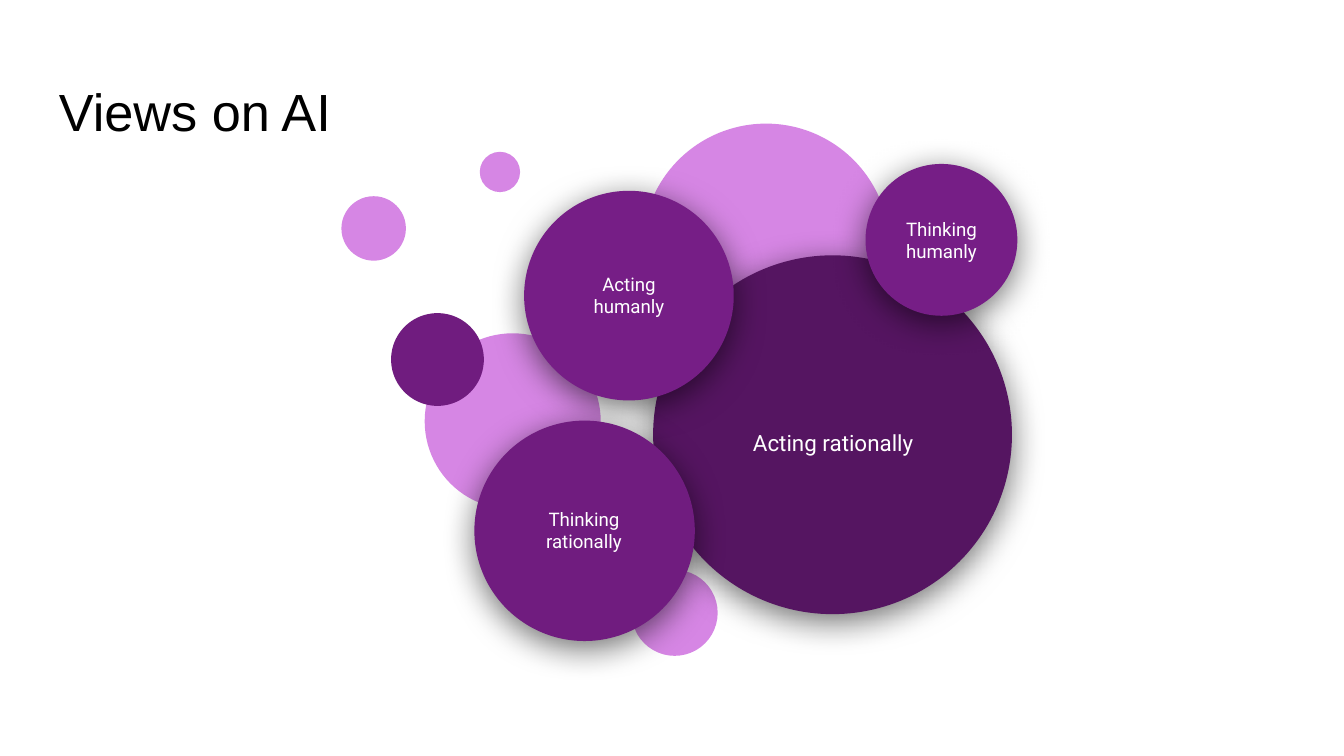
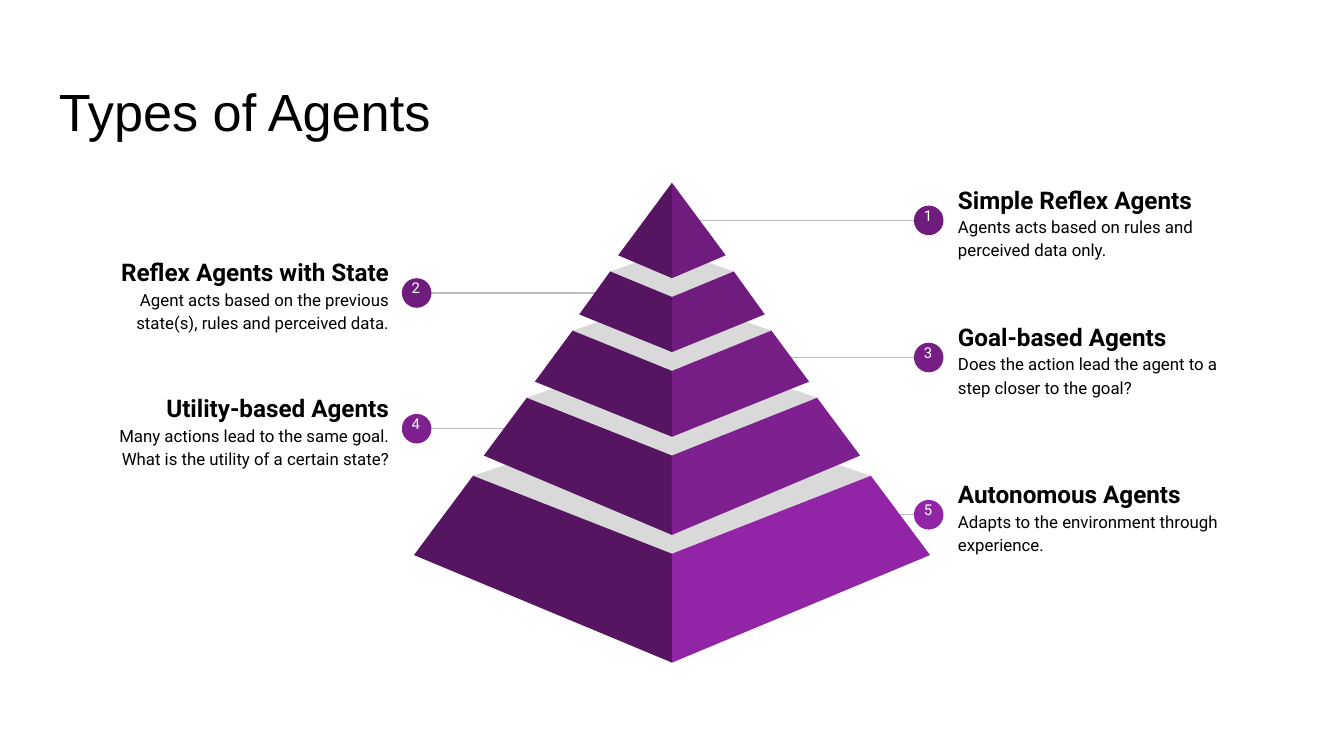
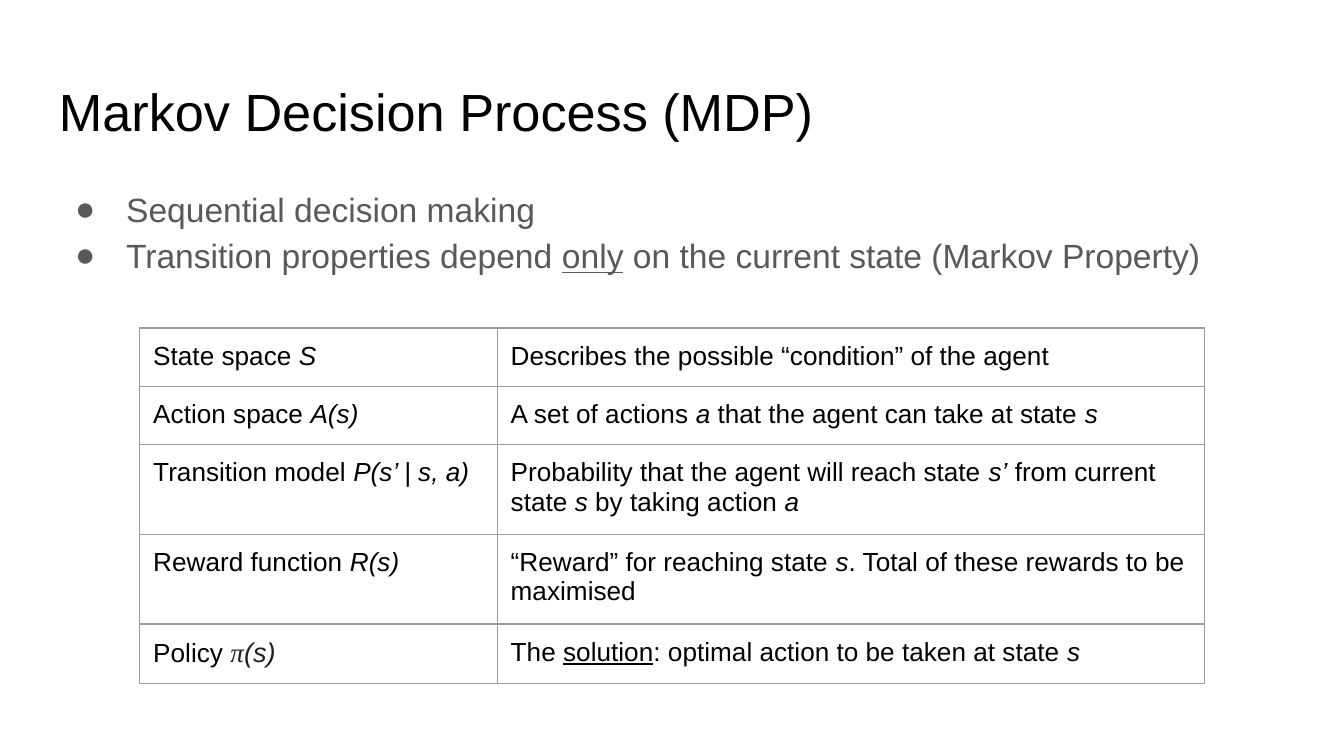
from dataclasses import dataclass
from typing import NamedTuple

from lxml.etree import SubElement
from pptx import Presentation
from pptx.dml.color import RGBColor
from pptx.enum.shapes import MSO_CONNECTOR, MSO_SHAPE
from pptx.enum.text import MSO_ANCHOR, PP_ALIGN
from pptx.oxml.ns import qn
from pptx.util import Inches, Pt


@dataclass(frozen=True)
class Theme:
    sans: str = "Arial"
    label: str = "Roboto"
    math: str = "Times New Roman"
    black: str = "000000"
    white: str = "FFFFFF"
    body: str = "595959"
    symbol: str = "202122"
    rule: str = "BDBDBD"
    border: str = "9E9E9E"
    lid: str = "D9D9D9"
    lilac: str = "D686E4"
    dark: str = "551561"
    plum: str = "701C7F"
    purple: str = "761E86"
    violet: str = "7F2090"
    bright: str = "9225A5"
    title_size: float = 28
    body_size: float = 18
    cell_size: float = 14
    symbol_size: float = 14.5
    heading_size: float = 13
    big_label_size: float = 12
    label_size: float = 10
    note_size: float = 9
    number_size: float = 8
    line_width: float = 0.75


T = Theme()
MARKS = {
    "^": {"size": T.symbol_size, "color": T.symbol},
    "*": {"italic": True},
    "_": {"underline": True},
    "~": {"font": T.math},
}


class Disc(NamedTuple):
    left: float
    top: float
    size: float
    color: str


class Bubble(NamedTuple):
    disc: Disc
    text: str
    box: tuple[float, float, float, float]
    size: float


class Tier(NamedTuple):
    color: str
    back: float
    top_half: float
    top_side: float
    top_mid: float
    base_half: float
    base_side: float
    base_mid: float


class Callout(NamedTuple):
    y: float
    tip: float
    color: str
    heading: str
    note: str


DISCS = [
    Disc(4.7, 4.24, 0.64, T.lilac),
    Disc(2.54, 1.46, 0.48, T.lilac),
    Disc(3.16, 2.48, 1.31, T.lilac),
    Disc(4.78, 0.92, 1.84, T.lilac),
    Disc(2.91, 2.33, 0.69, T.plum),
    Disc(3.57, 1.13, 0.3, T.lilac),
]
BUBBLES = [
    Bubble(Disc(4.86, 1.9, 2.67, T.dark), "Acting rationally",
           (5.18, 2.66, 2.04, 1.27), T.big_label_size),
    Bubble(Disc(3.9, 1.42, 1.56, T.purple), "Acting humanly",
           (4.15, 1.68, 1.06, 1.03), T.label_size),
    Bubble(Disc(3.53, 3.13, 1.64, T.plum), "Thinking rationally",
           (3.76, 3.43, 1.17, 1.03), T.label_size),
    Bubble(Disc(6.44, 1.22, 1.13, T.purple), "Thinking humanly",
           (6.62, 1.41, 0.77, 0.75), T.label_size),
]
TIERS = [
    Tier(T.bright, 3.04, 1.48, 3.54, 4.12, 1.92, 4.13, 4.93),
    Tier(T.violet, 2.59, 1.08, 2.96, 3.39, 1.4, 3.39, 3.98),
    Tier(T.purple, 2.21, 0.74, 2.46, 2.76, 1.02, 2.84, 3.25),
    Tier(T.plum, 1.86, 0.46, 2.02, 2.21, 0.69, 2.34, 2.62),
    Tier(T.plum, 1.36, 0, 1.36, 1.36, 0.4, 1.9, 2.07),
]
CALLOUTS = [
    Callout(1.64, 5.17, T.plum, "Simple Reflex Agents",
            "Agents acts based on rules and perceived data only."),
    Callout(2.18, 4.45, T.plum, "Reflex Agents with State",
            "Agent acts based on the previous state(s), rules and perceived data."),
    Callout(2.66, 5.76, T.purple, "Goal-based Agents",
            "Does the action lead the agent to a step closer to the goal?"),
    Callout(3.19, 3.96, T.violet, "Utility-based Agents",
            "Many actions lead to the same goal. What is the utility of a certain state?"),
    Callout(3.83, 6.32, T.bright, "Autonomous Agents",
            "Adapts to the environment through experience."),
]
BULLETS = [
    "Sequential decision making",
    "Transition properties depend _only_ on the current state (Markov Property)",
]
MDP_ROWS = [
    ("State space *S*", "Describes the possible “condition” of the agent"),
    ("Action space *A(s)*",
     "A set of actions *a* that the agent can take at state *s*"),
    ("Transition model *P(s’ | s, a)*",
     "Probability that the agent will reach state *s’* from current state *s* "
     "by taking action *a*"),
    ("Reward function *R(s)*",
     "“Reward” for reaching state *s*. Total of these rewards to be maximised"),
    ("Policy ^*~π~(s)*^",
     "The _solution_: optimal action to be taken at state *s*"),
]


def write(p, text: str, marks: str = "^*_~", *, size: float, color: str = T.black,
          font: str = T.sans, bold: bool = False, italic: bool = False,
          underline: bool = False) -> None:
    fmt = dict(size=size, color=color, font=font, bold=bold, italic=italic,
               underline=underline)
    if marks:
        for i, part in enumerate(text.split(marks[0])):
            write(p, part, marks[1:], **(fmt | (MARKS[marks[0]] if i % 2 else {})))
    elif text:
        r = p.add_run()
        r.text = text
        r.font.size = Pt(size)
        r.font.name = font
        r.font.color.rgb = RGBColor.from_string(color)
        r.font.bold, r.font.italic, r.font.underline = bold, italic, underline


def add_box(s, box: tuple[float, float, float, float], anchor=MSO_ANCHOR.TOP):
    tf = s.shapes.add_textbox(*map(Inches, box)).text_frame
    tf.word_wrap = True
    tf.vertical_anchor = anchor
    tf.margin_left = tf.margin_right = tf.margin_top = tf.margin_bottom = Inches(0.1)
    return tf


def paint(sp, color: str) -> None:
    sp.shadow.inherit = False
    sp.fill.solid()
    sp.fill.fore_color.rgb = RGBColor.from_string(color)
    sp.line.fill.background()


def add_disc(s, disc: Disc):
    sp = s.shapes.add_shape(MSO_SHAPE.OVAL, Inches(disc.left), Inches(disc.top),
                            Inches(disc.size), Inches(disc.size))
    paint(sp, disc.color)
    return sp


def cast_shadow(sp) -> None:
    effects = sp._element.spPr.find(qn("a:effectLst"))
    shadow = SubElement(effects, qn("a:outerShdw"), blurRad=str(Pt(18)),
                        dist=str(Pt(4)), dir="5400000", algn="bl",
                        rotWithShape="0")
    color = SubElement(shadow, qn("a:srgbClr"), val=T.black)
    SubElement(color, qn("a:alpha"), val="55000")


def add_face(s, points: list[tuple[float, float]], color: str) -> None:
    corners = [(Inches(x), Inches(y)) for x, y in points]
    builder = s.shapes.build_freeform(*corners[0], scale=1.0)
    builder.add_line_segments(corners[1:], close=True)
    paint(builder.convert_to_shape(), color)


def add_tier(s, tier: Tier, mid: float = 5) -> None:
    if tier.top_half:
        add_face(s, [(mid - tier.top_half, tier.top_side), (mid, tier.top_mid),
                     (mid + tier.top_half, tier.top_side), (mid, tier.back)], T.lid)
    for side, color in ((-1, T.dark), (1, tier.color)):
        add_face(s, [(mid + side * tier.top_half, tier.top_side),
                     (mid, tier.top_mid), (mid, tier.base_mid),
                     (mid + side * tier.base_half, tier.base_side)], color)


def add_callout(s, number: int, callout: Callout) -> None:
    on_right = number % 2 == 1
    dot_x, line_x, text_x = (6.8, 6.98, 7.03) if on_right else (2.99, 3.04, 0.66)
    y = callout.y
    line = s.shapes.add_connector(MSO_CONNECTOR.STRAIGHT, Inches(callout.tip),
                                  Inches(y), Inches(line_x), Inches(y))
    line.line.color.rgb = RGBColor.from_string(T.rule)
    line.line.width = Pt(T.line_width)
    SubElement(line._element.spPr, qn("a:effectLst"))
    add_disc(s, Disc(dot_x, y - 0.11, 0.22, callout.color))

    p = add_box(s, (dot_x - 0.03, y - 0.17, 0.27, 0.34)).paragraphs[0]
    p.alignment = PP_ALIGN.CENTER
    write(p, str(number), size=T.number_size, color=T.white, font=T.label)

    tf = add_box(s, (text_x, y - 0.41, 2.33, 0.82), MSO_ANCHOR.MIDDLE)
    heading, note = tf.paragraphs[0], tf.add_paragraph()
    for p in (heading, note):
        p.alignment = PP_ALIGN.LEFT if on_right else PP_ALIGN.RIGHT
        p.line_spacing = 1.15
    note.space_after = Pt(16)
    write(heading, callout.heading, size=T.heading_size, font=T.label, bold=True)
    write(note, callout.note, size=T.note_size, font=T.label)


def add_bullet(p, text: str) -> None:
    pPr = p._p.get_or_add_pPr()
    pPr.set("marL", str(Inches(0.5)))
    pPr.set("indent", str(Inches(-0.38)))
    SubElement(SubElement(pPr, qn("a:buClr")), qn("a:srgbClr"), val=T.body)
    SubElement(pPr, qn("a:buSzPts"), val=str(T.body_size * 100))
    SubElement(pPr, qn("a:buFont"), typeface=T.sans)
    SubElement(pPr, qn("a:buChar"), char="●")
    p.line_spacing = 1.15
    write(p, text, size=T.body_size, color=T.body)


def fill_cell(cell, text: str) -> None:
    cell.margin_left = cell.margin_right = Inches(0.1)
    cell.margin_top = cell.margin_bottom = Inches(0.1)
    tcPr = cell._tc.get_or_add_tcPr()
    for edge in ("a:lnL", "a:lnR", "a:lnT", "a:lnB"):
        ln = SubElement(tcPr, qn(edge), w=str(Pt(T.line_width)))
        SubElement(SubElement(ln, qn("a:solidFill")), qn("a:srgbClr"), val=T.border)
    cell.fill.background()
    p = cell.text_frame.paragraphs[0]
    write(p, text, size=T.cell_size)
    SubElement(p._p, qn("a:endParaRPr"), sz=str(T.cell_size * 100))


def add_slide(prs, title: str):
    s = prs.slides.add_slide(prs.slide_layouts[6])
    p = add_box(s, (0.34, 0.49, 9.32, 0.63)).paragraphs[0]
    write(p, title, size=T.title_size)
    return s


def views_slide(prs) -> None:
    s = add_slide(prs, "Views on AI")
    for disc in DISCS:
        add_disc(s, disc)
    for bubble in BUBBLES:
        cast_shadow(add_disc(s, bubble.disc))
        p = add_box(s, bubble.box, MSO_ANCHOR.MIDDLE).paragraphs[0]
        p.alignment = PP_ALIGN.CENTER
        write(p, bubble.text, size=bubble.size, color=T.white, font=T.label)


def agents_slide(prs) -> None:
    s = add_slide(prs, "Types of Agents")
    for number, callout in enumerate(CALLOUTS, 1):
        add_callout(s, number, callout)
    for tier in TIERS:
        add_tier(s, tier)


def mdp_slide(prs) -> None:
    s = add_slide(prs, "Markov Decision Process (MDP)")
    tf = add_box(s, (0.34, 1.26, 9.32, 3.74))
    for i, text in enumerate(BULLETS):
        add_bullet(tf.add_paragraph() if i else tf.paragraphs[0], text)

    widths, row_height = (2.66, 5.26), 0.42
    table = s.shapes.add_table(
        len(MDP_ROWS), len(widths), Inches(1.04), Inches(2.44),
        Inches(sum(widths)), Inches(row_height * len(MDP_ROWS))).table
    table.first_row = table.horz_banding = False
    for column, width in zip(table.columns, widths):
        column.width = Inches(width)
    for row, texts in zip(table.rows, MDP_ROWS):
        row.height = Inches(row_height)
        for cell, text in zip(row.cells, texts):
            fill_cell(cell, text)


def main() -> None:
    prs = Presentation()
    prs.slide_width = Inches(10)
    prs.slide_height = prs.slide_width * 9 // 16
    views_slide(prs)
    agents_slide(prs)
    mdp_slide(prs)
    prs.save("out.pptx")


if __name__ == "__main__":
    main()
